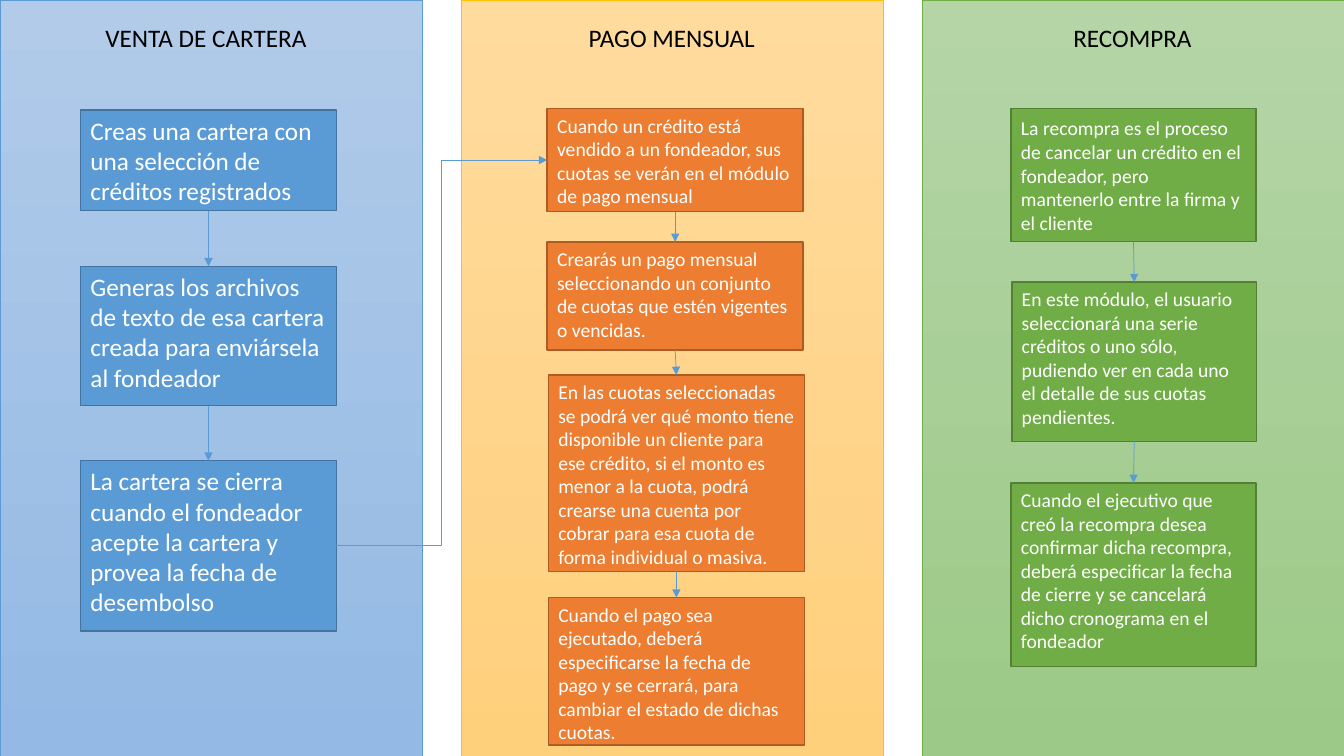
from dataclasses import dataclass
from itertools import pairwise

from lxml import etree
from pptx import Presentation
from pptx.dml.color import RGBColor
from pptx.enum.shapes import MSO_CONNECTOR, MSO_SHAPE
from pptx.enum.text import MSO_ANCHOR, PP_ALIGN
from pptx.oxml.ns import qn
from pptx.util import Cm, Pt

RECT = MSO_SHAPE.RECTANGLE
STRAIGHT, ELBOW = MSO_CONNECTOR.STRAIGHT, MSO_CONNECTOR.ELBOW
TOP, MIDDLE = MSO_ANCHOR.TOP, MSO_ANCHOR.MIDDLE
LEFT, CENTER = PP_ALIGN.LEFT, PP_ALIGN.CENTER
SITE_TOP, SITE_LEFT, SITE_BOTTOM, SITE_RIGHT = range(4)


@dataclass(frozen=True)
class Theme:
    font: str = "Calibri"
    large: int = 18
    small: int = 14
    title: str = "000000"
    box_text: str = "FFFFFF"
    arrow: str = "5B9BD5"
    thin: float = 0.5
    thick: float = 1
    # Lane gradient start, gradient end, lane line, box fill, box line
    blue: tuple = ("B1CBE9", "93B9E4", "5B9BD5", "5B9BD5", "43739E")
    orange: tuple = ("FFDB9E", "FFD07C", "FFC000", "ED7D31", "AF5C24")
    green: tuple = ("B5D5A7", "9CC987", "70AD47", "70AD47", "538035")


THEME = Theme()
LANE_W, LANE_H = 10.64, 19.05
TITLE_Y, TITLE_W, TITLE_H = 0.43, 7.9, 1.02


def rgb(value):
    return RGBColor.from_string(value)


def set_line(s, color, width):
    s.line.color.rgb = rgb(color)
    s.line.width = Pt(width)


def write(s, text, size, color, align=LEFT, anchor=TOP):
    tf = s.text_frame
    tf.word_wrap = True
    tf.vertical_anchor = anchor
    p = tf.paragraphs[0]
    p.text = text
    p.alignment = align
    p.font.name = THEME.font
    p.font.size = Pt(size)
    p.font.color.rgb = rgb(color)


def add_rect(slide, x, y, w, h):
    s = slide.shapes.add_shape(RECT, Cm(x), Cm(y), Cm(w), Cm(h))
    s.shadow.inherit = False
    return s


def add_arrow(slide, kind, start, start_site, end, end_site):
    c = slide.shapes.add_connector(kind, 0, 0, 0, 0)
    c.begin_connect(start, start_site)
    c.end_connect(end, end_site)
    set_line(c, THEME.arrow, THEME.thin)
    etree.SubElement(c.line._get_or_add_ln(), qn("a:tailEnd"), type="triangle")
    etree.SubElement(c._element.spPr, qn("a:effectLst"))


def add_lane(slide, x, title, title_dx, colors, size, box_w, steps):
    """Draw one process lane at x and return its step boxes."""
    start, end, lane_line, box_fill, box_line = colors

    # Background
    lane = add_rect(slide, x, 0, LANE_W, LANE_H)
    lane.fill.gradient()
    lane.fill.gradient_angle = 270
    for stop, color in zip(lane.fill.gradient_stops, (start, end)):
        stop.color.rgb = rgb(color)
    set_line(lane, lane_line, THEME.thin)

    # Title
    s = slide.shapes.add_textbox(Cm(x + title_dx), Cm(TITLE_Y), Cm(TITLE_W), Cm(TITLE_H))
    write(s, title, THEME.large, THEME.title, CENTER)

    # Step boxes
    boxes = []
    for dx, y, h, anchor, text in steps:
        s = add_rect(slide, x + dx, y, box_w, h)
        s.fill.solid()
        s.fill.fore_color.rgb = rgb(box_fill)
        set_line(s, box_line, THEME.thick)
        write(s, text, size, THEME.box_text, anchor=anchor)
        boxes.append(s)

    # Arrows between consecutive steps
    for upper, lower in pairwise(boxes):
        add_arrow(slide, STRAIGHT, upper, SITE_BOTTOM, lower, SITE_TOP)
    return boxes


# Steps: offset in lane, top, height, anchor, text
SALE = [
    (2.03, 2.77, 2.54, TOP, "Creas una cartera con una selección de créditos registrados"),
    (2.03, 6.71, 3.51, TOP, "Generas los archivos de texto de esa cartera creada para "
     "enviársela al fondeador"),
    (2.03, 11.61, 4.29, TOP, "La cartera se cierra cuando el fondeador acepte la cartera y "
     "provea la fecha de desembolso"),
]
PAYMENT = [
    (2.16, 2.74, 2.59, TOP, "Cuando un crédito está vendido a un fondeador, sus cuotas se "
     "verán en el módulo de pago mensual"),
    (2.16, 6.1, 2.72, TOP, "Crearás un pago mensual seleccionando un conjunto de cuotas que "
     "estén vigentes o vencidas."),
    (2.19, 9.45, 4.95, TOP, "En las cuotas seleccionadas se podrá ver qué monto tiene "
     "disponible un cliente para ese crédito, si el monto es menor a la cuota, podrá "
     "crearse una cuenta por cobrar para esa cuota de forma individual o masiva."),
    (2.19, 15.06, 3.71, TOP, "Cuando el pago sea ejecutado, deberá especificarse la fecha de "
     "pago y se cerrará, para cambiar el estado de dichas cuotas."),
]
REPURCHASE = [
    (2.24, 2.74, 3.35, MIDDLE, "La recompra es el proceso de cancelar un crédito en el "
     "fondeador, pero mantenerlo entre la firma y el cliente"),
    (2.26, 7.11, 4.01, TOP, "En este módulo, el usuario seleccionará una serie créditos o uno "
     "sólo, pudiendo ver en cada uno el detalle de sus cuotas pendientes."),
    (2.24, 12.17, 4.62, TOP, "Cuando el ejecutivo que creó la recompra desea confirmar dicha "
     "recompra, deberá especificar la fecha de cierre y se cancelará dicho cronograma "
     "en el fondeador"),
]

prs = Presentation()
prs.slide_width, prs.slide_height = Cm(33.87), Cm(LANE_H)
slide = prs.slides.add_slide(prs.slide_layouts[6])

sale = add_lane(slide, 0, "VENTA DE CARTERA", 1.24, THEME.blue, THEME.large, 6.45, SALE)
payment = add_lane(slide, 11.63, "PAGO MENSUAL", 1.35, THEME.orange, THEME.small, 6.45, PAYMENT)
add_lane(slide, 23.24, "RECOMPRA", 1.35, THEME.green, THEME.small, 6.17, REPURCHASE)

# Closed portfolio leads to the monthly payment
add_arrow(slide, ELBOW, sale[-1], SITE_RIGHT, payment[0], SITE_LEFT)

prs.save("out.pptx")
